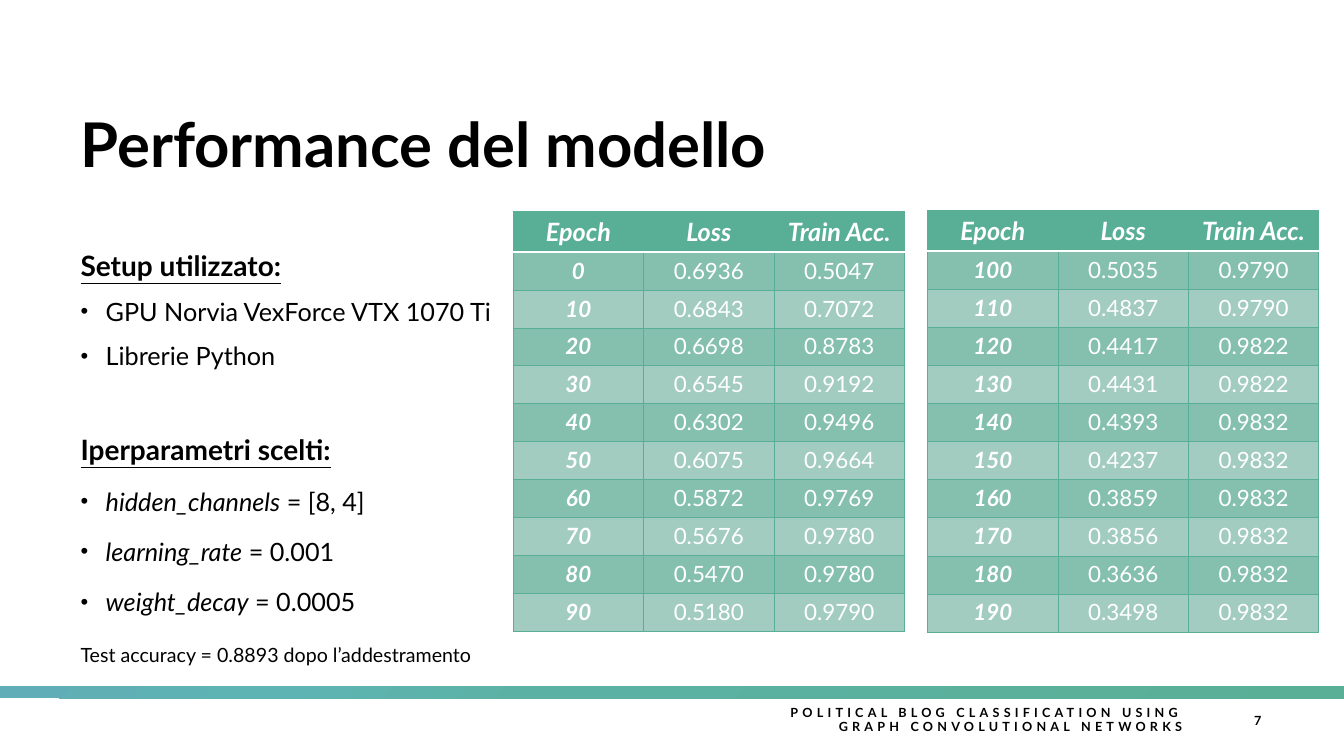
from dataclasses import dataclass

from pptx import Presentation
from pptx.dml.color import RGBColor
from pptx.enum.shapes import MSO_SHAPE
from pptx.enum.text import MSO_ANCHOR, MSO_AUTO_SIZE, PP_ALIGN
from pptx.oxml import parse_xml
from pptx.oxml.ns import nsdecls
from pptx.util import Inches, Pt

BLACK, WHITE = "000000", "FFFFFF"
GREEN, DARK_BAND, LIGHT_BAND = "59AF95", "85C0AE", "A2CCBF"
HEADER_HEIGHT = 0.4


@dataclass
class Run:
    text: str
    size: float = 18
    bold: bool = False
    italic: bool = False
    underline: bool = False


@dataclass
class Line:
    runs: list[Run]
    bullet: bool = False
    spacing: float = 1.0
    before: float = 10


@dataclass
class EpochTable:
    left: float
    top: float
    height: float
    first_epoch: int
    losses: list[str]
    accuracies: list[str]


SETUP_LINES = [
    Line([Run("Setup utilizzato:", 20, bold=True, underline=True)], spacing=1.2),
    Line([Run("GPU Norvia VexForce VTX 1070 Ti")], bullet=True),
    Line([Run("Librerie Python")], bullet=True),
    Line([Run("Iperparametri scelti:", 20, bold=True, underline=True)], before=44),
    *(
        Line([Run(name, italic=True), Run(f" = {value}")], bullet=True, spacing=1.2)
        for name, value in (
            ("hidden_channels", "[8, 4]"),
            ("learning_rate", "0.001"),
            ("weight_decay", "0.0005"),
        )
    ),
    Line([Run("Test accuracy = 0.8893 dopo l’addestramento", 14)], spacing=1.5),
]

EPOCH_TABLES = [
    EpochTable(
        5.09, 2.1, 4.16, 0,
        ["0.6936", "0.6843", "0.6698", "0.6545", "0.6302",
         "0.6075", "0.5872", "0.5676", "0.5470", "0.5180"],
        ["0.5047", "0.7072", "0.8783", "0.9192", "0.9496",
         "0.9664", "0.9769", "0.9780", "0.9780", "0.9790"],
    ),
    EpochTable(
        9.2, 2.09, 4.18, 100,
        ["0.5035", "0.4837", "0.4417", "0.4431", "0.4393",
         "0.4237", "0.3859", "0.3856", "0.3636", "0.3498"],
        ["0.9790"] * 2 + ["0.9822"] * 2 + ["0.9832"] * 6,
    ),
]


def rgb(color: str) -> RGBColor:
    return RGBColor.from_string(color)


def add_text(paragraph, text: str, *, size: float, color: str = BLACK,
             bold: bool = False, italic: bool = False, underline: bool = False,
             align=PP_ALIGN.LEFT, tracking: float = 0) -> None:
    paragraph.alignment = align
    run = paragraph.add_run()
    run.text = text
    font = run.font
    font.name, font.size = "Lato", Pt(size)
    font.bold, font.italic, font.underline = bold, italic, underline
    font.color.rgb = rgb(color)
    if tracking:
        font._element.set("spc", str(int(tracking * 100)))


def add_frame(slide, left: float, top: float, width: float, height: float, anchor):
    frame = slide.shapes.add_textbox(
        Inches(left), Inches(top), Inches(width), Inches(height)).text_frame
    frame.word_wrap = True
    frame.vertical_anchor = anchor
    return frame


def add_bullet(paragraph) -> None:
    properties = paragraph._p.get_or_add_pPr()
    properties.set("marL", str(Inches(0.25)))
    properties.set("indent", str(-Inches(0.25)))
    for mark in ('buSzPct {} val="87000"', 'buFont {} typeface="Arial"', 'buChar {} char="•"'):
        properties.append(parse_xml(f"<a:{mark.format(nsdecls('a'))}/>"))


def add_title(slide) -> None:
    title = slide.shapes.title
    title.left, title.top = Inches(0.7), Inches(1)
    title.width, title.height = Inches(8.26), Inches(1.57)
    frame = title.text_frame
    frame.auto_size = MSO_AUTO_SIZE.NONE
    frame.vertical_anchor = MSO_ANCHOR.TOP
    add_text(frame.paragraphs[0], "Performance del modello", size=44, bold=True)


def add_setup(slide) -> None:
    frame = add_frame(slide, 0.7, 2.35, 4.39, 4.54, MSO_ANCHOR.TOP)
    for index, line in enumerate(SETUP_LINES):
        paragraph = frame.add_paragraph() if index else frame.paragraphs[0]
        paragraph.line_spacing = line.spacing
        paragraph.space_before = Pt(line.before)
        if line.bullet:
            add_bullet(paragraph)
        for run in line.runs:
            add_text(paragraph, run.text, size=run.size, bold=run.bold,
                     italic=run.italic, underline=run.underline)


def set_borders(cell, row: int) -> None:
    properties = cell._tc.get_or_add_tcPr()
    white_sides = {0: "B", 1: "T"}
    for position, side in enumerate("LRTB"):
        is_white = white_sides.get(row) == side
        color, width = (WHITE, Pt(1)) if is_white else (GREEN, Pt(0.5))
        properties.insert(position, parse_xml(
            f'<a:ln{side} {nsdecls("a")} w="{width}"><a:solidFill>'
            f'<a:srgbClr val="{color}"/></a:solidFill></a:ln{side}>'))


def add_epoch_table(slide, data: EpochTable) -> None:
    epochs = [str(data.first_epoch + 10 * step) for step in range(len(data.losses))]
    rows = [("Epoch", "Loss", "Train Acc."), *zip(epochs, data.losses, data.accuracies)]
    table = slide.shapes.add_table(
        len(rows), 3, Inches(data.left), Inches(data.top),
        Inches(3.88), Inches(data.height)).table
    row_height = (data.height - HEADER_HEIGHT) / len(epochs)
    for row, values in enumerate(rows):
        is_header = row == 0
        table.rows[row].height = Inches(HEADER_HEIGHT if is_header else row_height)
        band = GREEN if is_header else DARK_BAND if row % 2 else LIGHT_BAND
        for column, value in enumerate(values):
            cell = table.cell(row, column)
            cell.fill.solid()
            cell.fill.fore_color.rgb = rgb(band)
            set_borders(cell, row)
            emphasis = is_header or column == 0
            add_text(cell.text_frame.paragraphs[0], value, size=18 if is_header else 16,
                     color=WHITE, bold=emphasis, italic=emphasis, align=PP_ALIGN.CENTER)


def add_footer_band(slide) -> None:
    band = slide.shapes.add_shape(
        MSO_SHAPE.RECTANGLE, 0, Inches(6.81), Inches(13.33), Inches(0.12))
    band.shadow.inherit = False
    band.line.fill.background()
    stops = "".join(
        f'<a:gs pos="{percent * 1000}"><a:srgbClr val="{color}"/></a:gs>'
        for percent, color in ((0, GREEN), (60, "5BB2A4"), (79, "5EB4B2"), (100, "60ADB7")))
    band._element.spPr.find("{*}prstGeom").addnext(parse_xml(
        f'<a:gradFill {nsdecls("a")}><a:gsLst>{stops}</a:gsLst><a:path path="circle">'
        '<a:fillToRect l="100000" t="100000"/></a:path></a:gradFill>'))


def add_footer_text(slide, text: str, left: float, width: float, spacing: float) -> None:
    paragraph = add_frame(slide, left, 6.95, width, 0.4, MSO_ANCHOR.MIDDLE).paragraphs[0]
    paragraph.line_spacing = spacing
    paragraph.space_after = Pt(6)
    add_text(paragraph, text, size=9, bold=True, align=PP_ALIGN.RIGHT, tracking=3)


def main() -> None:
    presentation = Presentation()
    presentation.slide_width, presentation.slide_height = Inches(13.33), Inches(7.5)
    slide = presentation.slides.add_slide(presentation.slide_layouts[5])
    add_title(slide)
    add_footer_band(slide)
    add_setup(slide)
    for data in EPOCH_TABLES:
        add_epoch_table(slide, data)
    add_footer_text(slide, "POLITICAL BLOG CLASSIFICATION USING GRAPH CONVOLUTIONAL NETWORKS",
                    7.4, 4.42, 0.9)
    add_footer_text(slide, "7", 11.82, 0.79, 1.0)
    presentation.save("out.pptx")


if __name__ == "__main__":
    main()
